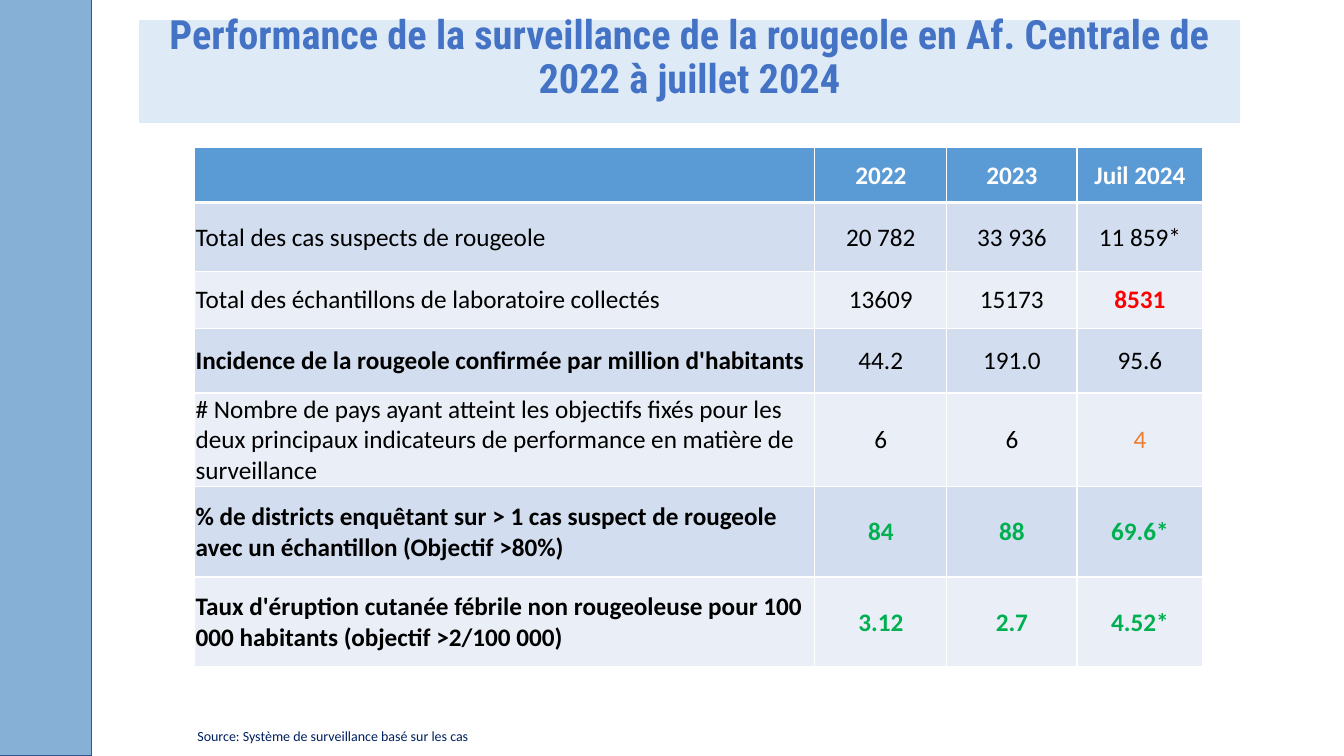
import pptx
import pptx.dml.color
import pptx.enum.shapes
import pptx.enum.text
import pptx.oxml
import pptx.oxml.ns
import pptx.util

WIDE, HIGH = 13.33, 7.5
ALIGN = pptx.enum.text.PP_ALIGN
MIDDLE = pptx.enum.text.MSO_ANCHOR.MIDDLE

# Column widths and row heights, in percent of the slide
COLS = [46.14, 9.83, 9.68, 9.38]
ROWS = [7.33, 9.07, 7.6, 8.53, 11.87, 12, 11.87]

BLACK, RED, GREEN, ORANGE = "000000", "FF0000", "00B050", "ED7D31"
HEAD = ["", "2022", "2023", "Juil 2024"]

# Label, bold label, values, then colour and weight of the first two and the last
DATA = [
    ("Total des cas suspects de rougeole", False,
     ["20 782", "33 936", "11 859*"], (BLACK, False), (BLACK, False)),
    ("Total des échantillons de laboratoire collectés", False,
     ["13609", "15173", "8531"], (BLACK, False), (RED, True)),
    ("Incidence de la rougeole confirmée par million d'habitants", True,
     ["44.2", "191.0", "95.6"], (BLACK, False), (BLACK, False)),
    ("# Nombre de pays ayant atteint les objectifs fixés pour les deux "
     "principaux indicateurs de performance en matière de surveillance", False,
     ["6", "6", "4"], (BLACK, False), (ORANGE, False)),
    ("% de districts enquêtant sur > 1 cas suspect de rougeole avec un "
     "échantillon (Objectif >80%)", True,
     ["84", "88", "69.6*"], (GREEN, True), (GREEN, True)),
    ("Taux d'éruption cutanée fébrile non rougeoleuse pour 100 000 habitants "
     "(objectif >2/100 000)", True,
     ["3.12", "2.7", "4.52*"], (GREEN, True), (GREEN, True)),
]


def color(code):
    return pptx.dml.color.RGBColor.from_string(code)


def across(share):
    return pptx.util.Inches(WIDE * share / 100)


def down(share):
    return pptx.util.Inches(HIGH * share / 100)


def place(left, top, width, height):
    return across(left), down(top), across(width), down(height)


def write(para, text, size, code, bold=False, align=ALIGN.LEFT, face="Calibri"):
    para.text = text
    para.alignment = align
    font = para.font
    font.name, font.size, font.bold = face, pptx.util.Pt(size), bold
    font.color.rgb = color(code)


def inset(item, left, top, right, bottom):
    item.margin_left, item.margin_top = pptx.util.Inches(left), pptx.util.Inches(top)
    item.margin_right, item.margin_bottom = pptx.util.Inches(right), pptx.util.Inches(bottom)


def panel(slide, spot, fill, edge=None):
    shape = slide.shapes.add_shape(pptx.enum.shapes.MSO_SHAPE.RECTANGLE, *place(*spot))
    shape.shadow.inherit = False
    shape.fill.solid()
    shape.fill.fore_color.rgb = color(fill)
    if edge:
        shape.line.color.rgb = color(edge)
        shape.line.width = pptx.util.Pt(1)
    else:
        shape.line.fill.background()
    return shape


def title(slide, text):
    frame = panel(slide, (10.35, 2.67, 81.92, 13.6), "DEEBF7").text_frame
    frame.word_wrap = True
    frame.vertical_anchor = MIDDLE
    inset(frame, 0.06, 0.03, 0.06, 0.29)
    para = frame.paragraphs[0]
    write(para, text, 28.8, "4472C4", True, ALIGN.CENTER, "Roboto Condensed")
    para.line_spacing = 0.9


def border(cell, top, bottom):
    props = cell._tc.get_or_add_tcPr()
    space = pptx.oxml.ns.nsdecls("a")
    for side, width in (("L", 1), ("R", 1), ("T", top), ("B", bottom)):
        props.append(pptx.oxml.parse_xml(
            f'<a:ln{side} {space} w="{pptx.util.Pt(width)}"><a:solidFill>'
            f'<a:srgbClr val="FFFFFF"/></a:solidFill></a:ln{side}>'))


def fill_cell(cell, row, text, code, bold, align):
    inset(cell, 0.01, 0.01, 0.01, 0)
    cell.vertical_anchor = MIDDLE
    border(cell, 3 if row == 1 else 1, 3 if row == 0 else 1)
    cell.fill.solid()
    band = "D2DEEF" if row % 2 else "EAEFF7"
    cell.fill.fore_color.rgb = color(band if row else "5B9BD5")
    write(cell.text_frame.paragraphs[0], text, 18, code, bold, align)


def grid(slide):
    spot = place(14.48, 19.47, sum(COLS), sum(ROWS))
    table = slide.shapes.add_table(len(ROWS), len(COLS), *spot).table
    for col, share in zip(table.columns, COLS):
        col.width = across(share)
    for row, share in zip(table.rows, ROWS):
        row.height = down(share)
    for col, text in enumerate(HEAD):
        fill_cell(table.cell(0, col), 0, text, "FFFFFF", True, ALIGN.CENTER)
    for row, (label, bold, values, past, last) in enumerate(DATA, 1):
        fill_cell(table.cell(row, 0), row, label, BLACK, bold, ALIGN.LEFT)
        for col, (text, style) in enumerate(zip(values, (past, past, last)), 1):
            fill_cell(table.cell(row, col), row, text, *style, ALIGN.CENTER)


def source(slide, text):
    frame = slide.shapes.add_textbox(*place(13.95, 95.6, 50.41, 3.6)).text_frame
    frame.word_wrap = True
    write(frame.paragraphs[0], text, 10, "002060")


def main():
    deck = pptx.Presentation()
    deck.slide_width, deck.slide_height = across(100), down(100)
    slide = deck.slides.add_slide(deck.slide_layouts[6])
    slide.background.fill.solid()
    slide.background.fill.fore_color.rgb = color("FFFFFF")

    # Side bar and heading
    panel(slide, (-0.38, -0.27, 7.2, 100.27), "86B0D6", "325491")
    title(slide, "Performance de la surveillance de la rougeole en Af. Centrale "
                 "de 2022 à juillet 2024")

    # Indicators and their source
    grid(slide)
    source(slide, "Source: Système de surveillance basé sur les cas")
    deck.save("out.pptx")


if __name__ == "__main__":
    main()
